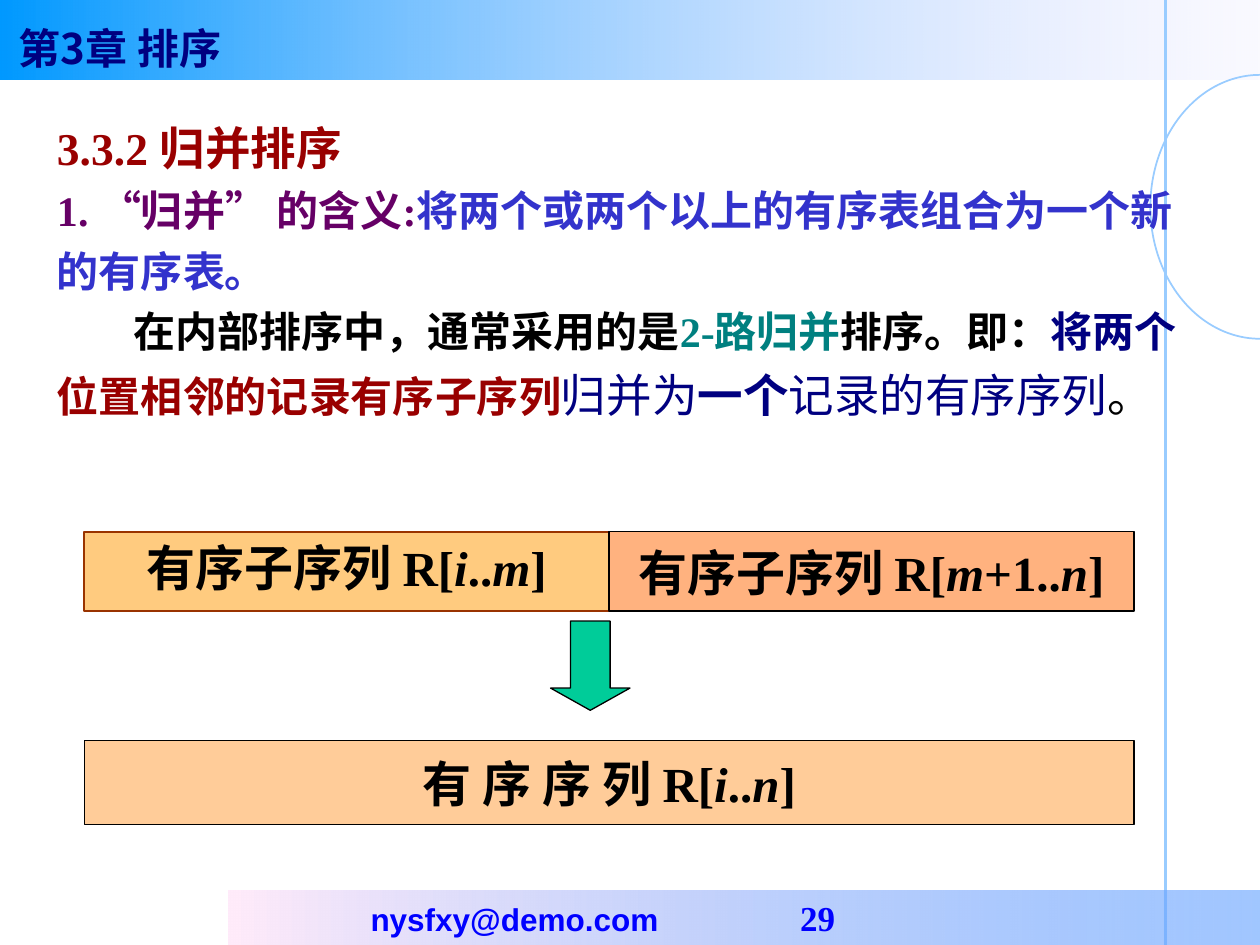
from lxml import etree
from pptx import Presentation, util as u
from pptx.dml.color import RGBColor as Rgb
from pptx.enum import shapes, text
from pptx.oxml import ns

HUES = {
    "sky": "0099FF", "mist": "CCCCFF", "pink": "FFEBFA", "blue": "5E9EFF",
    "rule": "99CCFF", "link": "0000FF", "navy": "000080", "red": "990000",
    "plum": "660066", "iris": "3333CC", "black": "000000", "teal": "008080",
    "gold": "FF9900", "rust": "993300", "flame": "FF6600", "peach": "FFCC99",
    "green": "00CC99",
}
KIND = shapes.MSO_SHAPE
MID = text.MSO_ANCHOR.MIDDLE
TOP = text.MSO_ANCHOR.TOP
MIDDLE = text.PP_ALIGN.CENTER
LEFT = text.PP_ALIGN.LEFT


def hue(name):
    return Rgb.from_string(HUES[name])


def add(node, tag, **vals):
    return etree.SubElement(node, ns.qn(tag), {k: str(v) for k, v in vals.items()})


def fade(node, share):
    for clr in node.iter(ns.qn("a:srgbClr")):
        add(clr, "a:alpha", val=share * 1000)


class Deck:
    serif = "Times New Roman"
    sans = "Arial"
    han = "Noto Sans CJK SC"

    def __init__(self):
        self.prs = Presentation()
        self.prs.slide_width = u.Cm(25.4)
        self.prs.slide_height = u.Cm(19.05)
        self.slide = self.prs.slides.add_slide(self.prs.slide_layouts[6])

    def shape(self, kind, area, fill=None, line=None, width=0.75, share=None):
        item = self.slide.shapes.add_shape(kind, *map(u.Cm, area))
        item.shadow.inherit = False
        if fill:
            item.fill.solid()
            item.fill.fore_color.rgb = hue(fill)
            if share:
                fade(item.fill._xPr.find(ns.qn("a:solidFill")), share)
        else:
            item.fill.background()
        if line:
            item.line.color.rgb = hue(line)
            item.line.width = u.Pt(width)
        else:
            item.line.fill.background()
        return item

    def band(self, area, start, end, share):
        item = self.shape(KIND.RECTANGLE, area)
        item.fill.gradient()
        item.fill.gradient_angle = 0
        stops = item.fill.gradient_stops
        for stop, name in zip(stops, (start, end)):
            stop.color.rgb = hue(name)
        fade(stops[1]._gs, share)
        return item

    def line(self, *ends):
        item = self.slide.shapes.add_connector(
            shapes.MSO_CONNECTOR.STRAIGHT, *map(u.Cm, ends))
        item.line.color.rgb = hue("rule")
        item.line.width = u.Pt(1.5)
        add(item._element.spPr, "a:effectLst")

    def box(self, area):
        return self.slide.shapes.add_textbox(*map(u.Cm, area))

    def frame(self, item, wrap=True, anchor=TOP):
        form = {"word_wrap": wrap, "vertical_anchor": anchor}
        for key, val in form.items():
            setattr(item.text_frame, key, val)
        return item.text_frame

    def para(self, par, runs, align=LEFT, space=None, indent=0, tabs=()):
        par.alignment = align
        par.line_spacing = space
        props = par._p.get_or_add_pPr()
        props.set("hangingPunct", "0")
        if indent:
            props.set("indent", str(u.Cm(indent)))
        if tabs:
            stops = add(props, "a:tabLst")
            for pos in tabs:
                add(stops, "a:tab", pos=int(u.Cm(pos)), algn="l")
        for words, shade, size, *more in runs:
            run = par.add_run()
            run.text = words
            run.font.color.rgb = hue(shade)
            form = {"name": self.serif, "size": u.Pt(size), "bold": True}
            form.update(*more)
            for key, val in form.items():
                setattr(run.font, key, val)
            add(run.font._rPr, "a:ea", typeface=self.han)

    def label(self, area, words, fill, line="black", width=0.75, share=None,
              wrap=False, anchor=MID):
        item = self.shape(KIND.RECTANGLE, area, fill, line, width, share)
        runs = [(part, "black", 28, {"italic": n % 2 == 1})
                for n, part in enumerate(words.split("*"))]
        self.para(self.frame(item, wrap, anchor).paragraphs[0], runs, MIDDLE)


def main():
    deck = Deck()
    deck.band((0, 0, 25.4, 1.6), "sky", "mist", 10)
    arc = deck.shape(KIND.ARC, (23.19, 1.51, 4.42, 5.32), None, "rule", 1)
    for n, angle in enumerate((90, 270)):
        arc.adjustments[n] = angle * 0.6
    deck.line(23.5, 0, 23.5, 19.05)

    foot = deck.band((4.6, 17.95, 20.9, 1.1), "pink", "blue", 58)
    deck.para(deck.frame(foot, True, MID).paragraphs[0], [
        ("\tnysfxy@demo.com", "link", 18, {"name": deck.sans}),
        ("\t29", "link", 20),
    ], tabs=(2.62, 11.28))

    head = deck.frame(deck.box((0.13, 0.33, 6, 0.87)))
    deck.para(head.paragraphs[0],
              [("第3章 排序", "navy", 24, {"name": deck.han})])

    thin = {"bold": False}
    body = deck.frame(deck.box((0.9, 2.13, 23.2, 7.2)))
    deck.para(body.paragraphs[0], [("3.3.2 归并排序", "red", 26)], space=1.15)
    deck.para(body.add_paragraph(), [
        ("1. “归并” 的含义:", "plum", 24),
        ("将两个或两个以上的有序表组合为一个新的有序表。", "iris", 24),
    ], space=1.2)
    deck.para(body.add_paragraph(), [
        ("在内部排序中，通常采用的是", "black", 24),
        ("2-路归并", "teal", 24),
        ("排序。即：", "black", 24),
        ("将两个", "navy", 24),
        ("位置相邻的记录有序子序列", "red", 24),
        ("归并为", "navy", 26, thin),
        ("一个", "navy", 26),
        ("记录的有序序列", "navy", 26, thin),
        ("。", "black", 26, thin),
    ], space=1.2, indent=1.55)

    left, half = 1.7, 10.58
    deck.label((left, 10.72, half, 1.6), "有序子序列 R[*i*..*m*]",
               "gold", "rust", 1, 50, True, TOP)
    deck.label((left + half, 10.72, half, 1.6), "有序子序列 R[*m*+1..*n*]",
               "flame", share=50)
    deck.label((left, 14.93, 2 * half, 1.7), "有 序 序 列 R[*i*..*n*]", "peach")
    arrow = deck.shape(KIND.DOWN_ARROW, (11.1, 12.52, 1.6, 1.8), "green", "black")
    for n, val in enumerate((0.5, 0.28)):
        arrow.adjustments[n] = val

    deck.prs.save("out.pptx")


if __name__ == "__main__":
    main()
